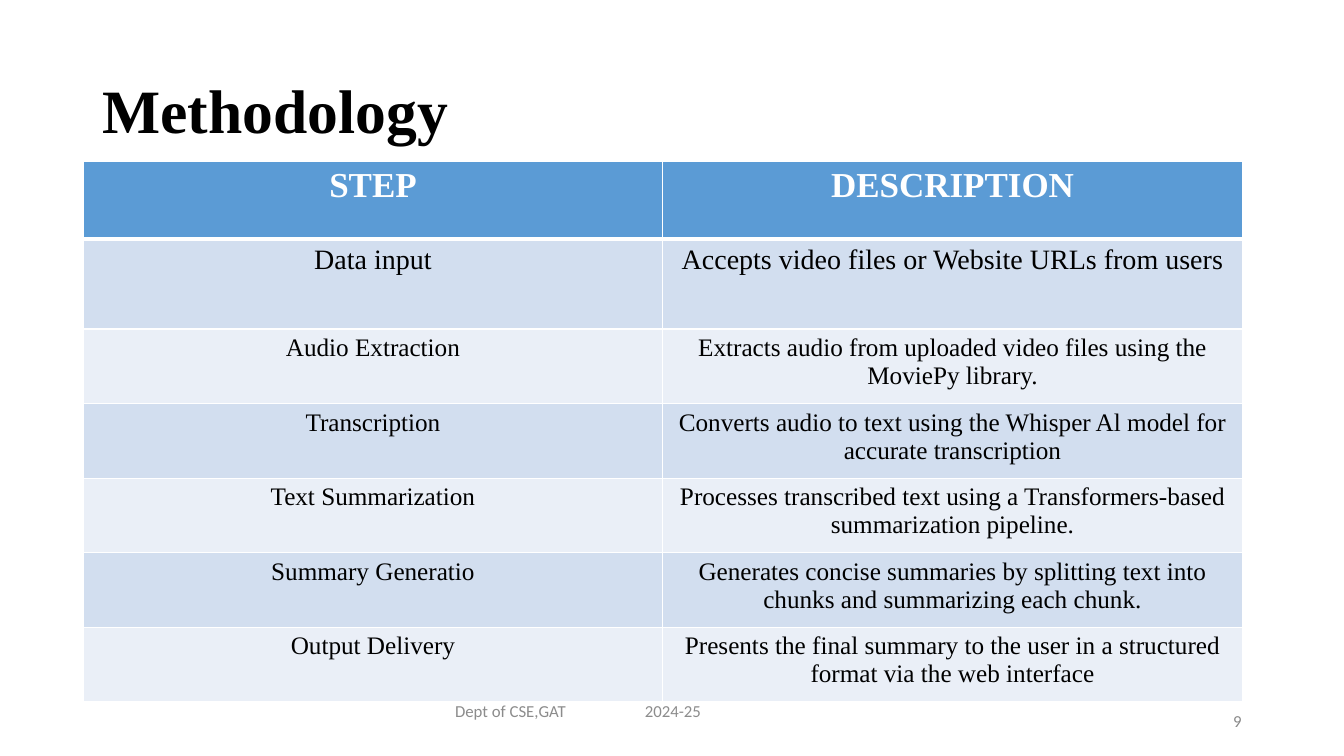
from lxml.etree import SubElement
from pptx import Presentation
from pptx.dml.color import RGBColor
from pptx.enum.text import MSO_ANCHOR, MSO_AUTO_SIZE, PP_ALIGN
from pptx.oxml.ns import qn
from pptx.util import Pt

COLORS = {
    "ink": "000000", "white": "FFFFFF", "head": "5B9BD5",
    "dark": "D2DEEF", "light": "EAEFF7", "page": "898989", "foot": "8C8C8C",
}
SERIF, SANS = "Times New Roman", "Calibri"

STEPS = [
    ("STEP", "DESCRIPTION"),
    ("Data input", "Accepts video files or Website URLs from users"),
    ("Audio Extraction",
     "Extracts audio from uploaded video files using the MoviePy library."),
    ("Transcription",
     "Converts audio to text using the Whisper Al model for accurate transcription"),
    ("Text Summarization",
     "Processes transcribed text using a Transformers-based summarization pipeline."),
    ("Summary Generatio",
     "Generates concise summaries by splitting text into chunks and summarizing each chunk."),
    ("Output Delivery",
     "Presents the final summary to the user in a structured format via the web interface"),
]
HEIGHTS = [55.4, 64.1] + [53.3] * 5
SIZES = [25, 20] + [18] * 5


class Deck:
    def __init__(self, width, height):
        self.prs = Presentation()
        self.prs.slide_width, self.prs.slide_height = Pt(width), Pt(height)
        self.slide = self.prs.slides.add_slide(self.prs.slide_layouts[5])

    def color(self, name):
        return RGBColor.from_string(COLORS[name])

    def text(self, para, words, size, font, color, bold=False):
        run = para.add_run()
        run.text = words
        run.font.size, run.font.name, run.font.bold = Pt(size), font, bold
        run.font.color.rgb = self.color(color)

    def title(self, words, box):
        shape = self.slide.shapes.title
        shape.left, shape.top, shape.width, shape.height = map(Pt, box)
        frame = shape.text_frame
        frame.auto_size = MSO_AUTO_SIZE.NONE
        frame.vertical_anchor = MSO_ANCHOR.MIDDLE
        para = frame.paragraphs[0]
        para.alignment, para.line_spacing = PP_ALIGN.LEFT, 0.9
        self.text(para, words, 44, SERIF, "ink", True)

    def label(self, words, box, color, align, anchor, tab=None):
        frame = self.slide.shapes.add_textbox(*map(Pt, box)).text_frame
        frame.word_wrap = True
        frame.margin_top = frame.margin_bottom = 0
        frame.vertical_anchor = anchor
        para = frame.paragraphs[0]
        para.alignment = align
        if tab:
            stops = SubElement(para._p.get_or_add_pPr(), qn("a:tabLst"))
            SubElement(stops, qn("a:tab"), pos=str(Pt(tab)), algn="l")
        self.text(para, words, 12, SANS, color)

    def border(self, cell, side, width):
        line = SubElement(cell._tc.get_or_add_tcPr(), qn(f"a:ln{side}"), w=str(Pt(width)))
        fill = SubElement(line, qn("a:solidFill"))
        SubElement(fill, qn("a:srgbClr"), val=COLORS["white"])

    def table(self, rows, box):
        table = self.slide.shapes.add_table(len(rows), 2, *map(Pt, box)).table
        for col in table.columns:
            col.width = Pt(box[2] / 2)
        for i, row in enumerate(rows):
            table.rows[i].height = Pt(HEIGHTS[i])
            fill = "head" if i == 0 else "dark" if i % 2 else "light"
            for j, words in enumerate(row):
                cell = table.cell(i, j)
                # The rule under the header is heavier
                for side in "LRTB":
                    heavy = (i, side) in ((0, "B"), (1, "T"))
                    self.border(cell, side, 3 if heavy else 1)
                cell.fill.solid()
                cell.fill.fore_color.rgb = self.color(fill)
                para = cell.text_frame.paragraphs[0]
                para.alignment = PP_ALIGN.CENTER
                self.text(para, words, SIZES[i], SERIF,
                          "ink" if i else "white", i == 0)


def main():
    deck = Deck(960, 540)
    # Heading
    deck.title("Methodology", (66, 28.8, 828, 104.4))
    # Steps
    deck.table(STEPS, (59.4, 115.5, 828, sum(HEIGHTS)))
    # Page number and footer
    deck.label("9", (678, 500.5, 216, 28.8), "page", PP_ALIGN.RIGHT, MSO_ANCHOR.MIDDLE)
    deck.label("Dept of CSE,GAT\t2024-25", (318, 500.5, 324, 28.8), "foot",
               PP_ALIGN.LEFT, MSO_ANCHOR.TOP, 135.5)
    deck.prs.save("out.pptx")


if __name__ == "__main__":
    main()
